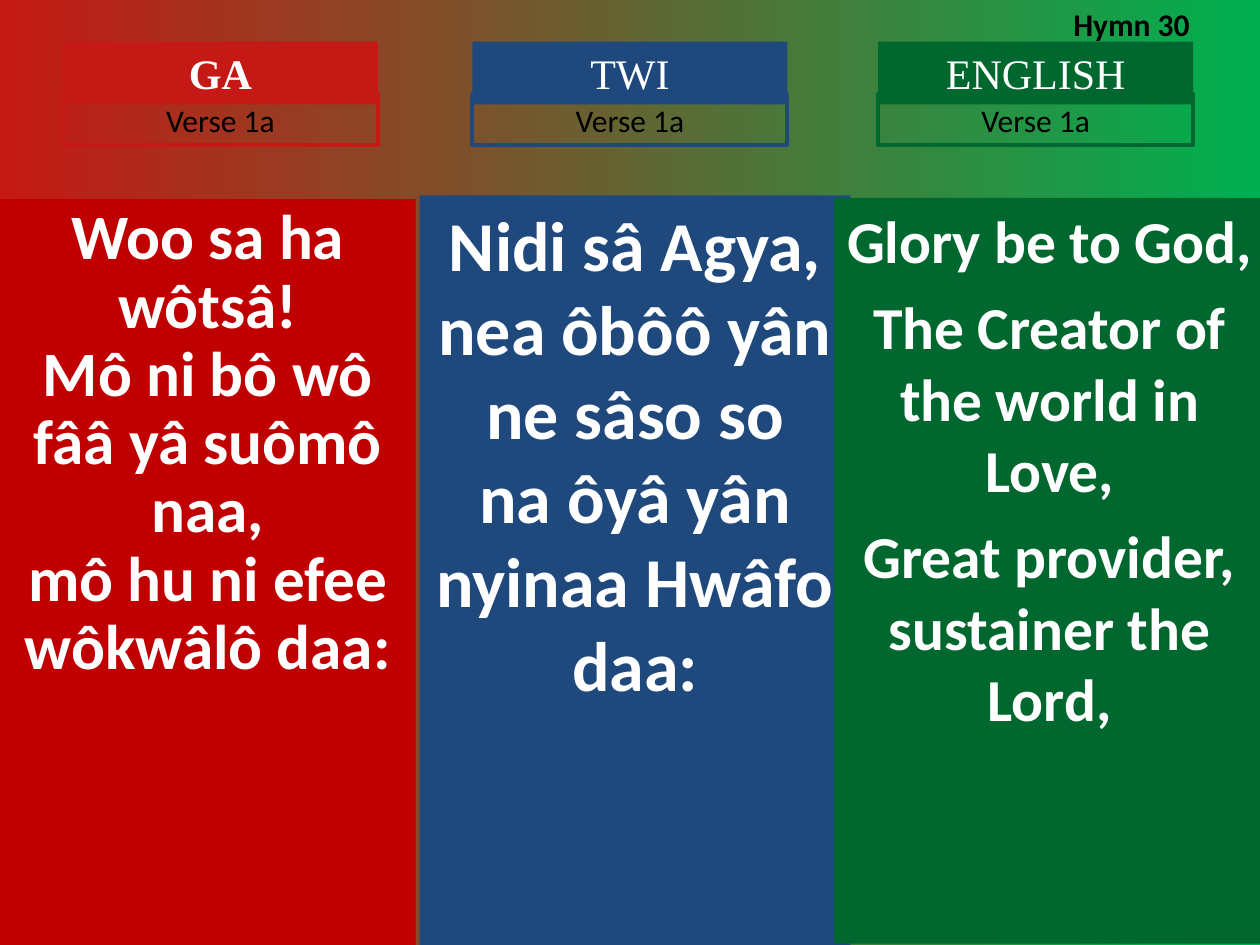
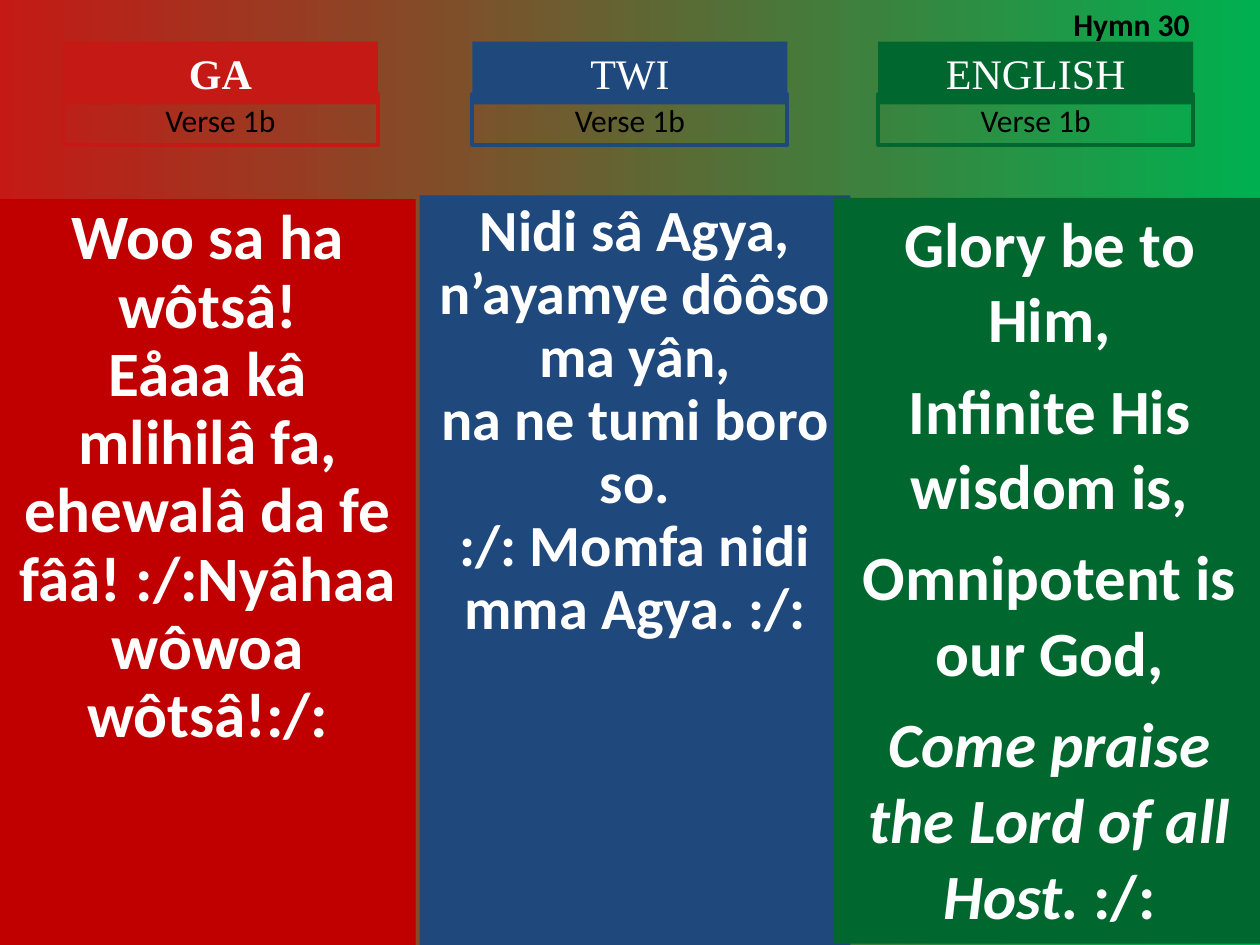
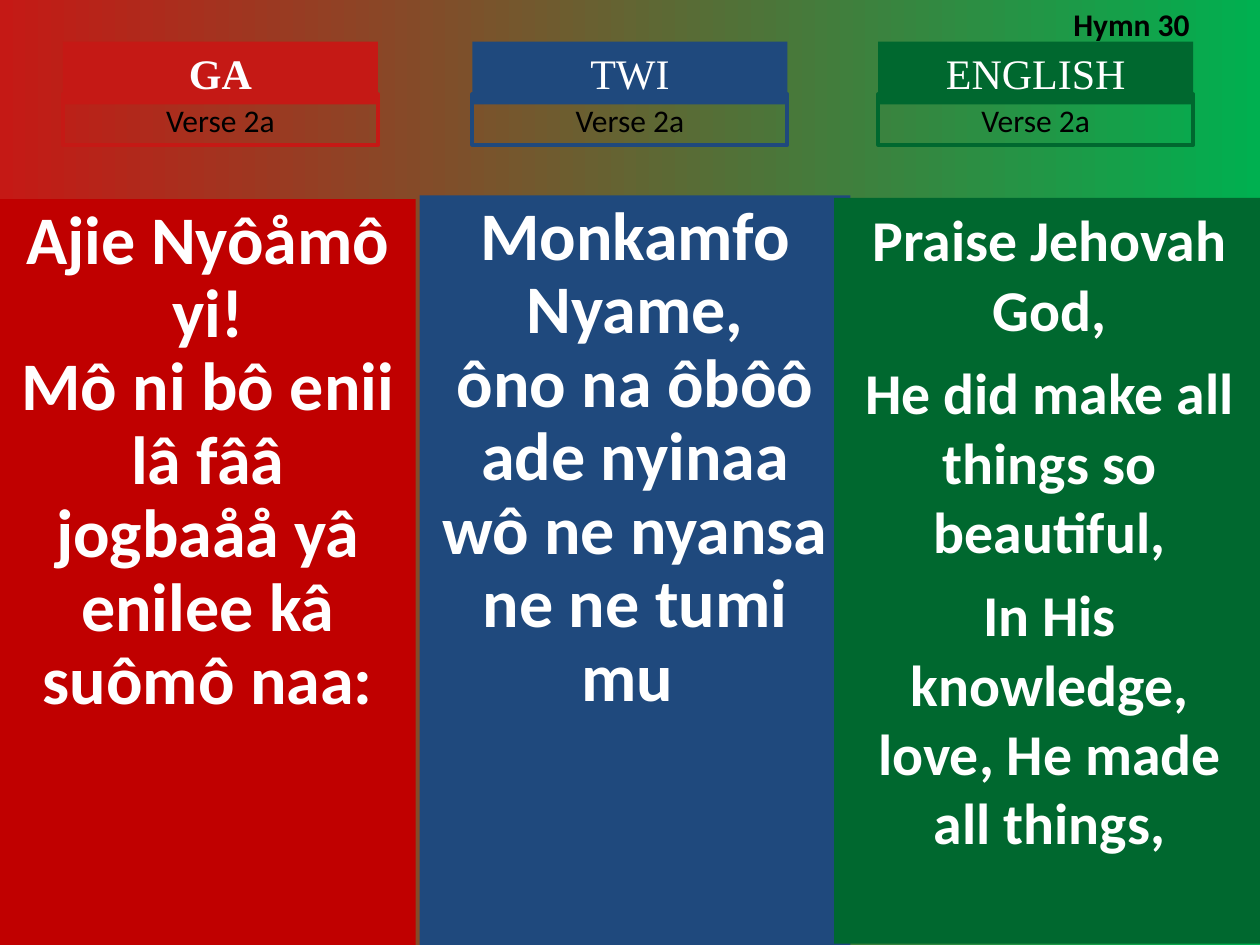
from pptx import Presentation
from pptx.dml.color import RGBColor
from pptx.enum.shapes import MSO_SHAPE
from pptx.enum.text import MSO_ANCHOR, PP_ALIGN
from pptx.util import Inches, Pt

RED = RGBColor(0xC5, 0x19, 0x15)
DARK_RED = RGBColor(0xC0, 0x00, 0x00)
BLUE = RGBColor(0x1F, 0x49, 0x7D)
GREEN = RGBColor(0x00, 0x68, 0x2F)
BRIGHT_GREEN = RGBColor(0x00, 0xB0, 0x50)
WHITE = RGBColor(0xFF, 0xFF, 0xFF)
BLACK = RGBColor(0x00, 0x00, 0x00)

BODY_FONT = "Calibri"
HEAD_FONT = "Times New Roman"
HYMN = "Hymn 30"

HEAD_W, HEAD_TOP, HEAD_H = 2.5, 0.33, 0.5
VERSE_TOP, VERSE_H = 0.75, 0.4

# language, bold heading, heading left, heading colour, panel colour, panel box
COLUMNS = [
    ("GA", True, 0.5, RED, DARK_RED, (0, 1.58, 3.3, 5.92)),
    ("TWI", False, 3.75, BLUE, BLUE, (3.33, 1.55, 3.42, 5.95)),
    ("ENGLISH", False, 6.97, GREEN, GREEN, (6.62, 1.57, 3.42, 5.92)),
]

# Per column: text size, line spacing, space before, paragraphs.
# A paragraph is a string, or a list of (text, italic) runs.
VERSES = [
    ("Verse 1a", [
        (36.1, 0.9, 0, ["Woo sa ha wôtsâ!",
                        "Mô ni bô wô fââ yâ suômô naa,",
                        "mô hu ni efee wôkwâlô daa:"]),
        (40, 1.0, 0, ["Nidi sâ Agya,",
                      "nea ôbôô yân ne sâso so",
                      "na ôyâ yân nyinaa Hwâfo daa:"]),
        (34, 1.0, 8.5, ["Glory be to God,",
                        "The Creator of the world in Love,",
                        "Great provider, sustainer the Lord,"]),
    ]),
    ("Verse 1b", [
        (36.1, 0.9, 0, ["Woo sa ha wôtsâ!",
                        "Eåaa kâ mlihilâ fa, ehewalâ da fe fââ! "
                        ":/:Nyâhaa wôwoa wôtsâ!:/:"]),
        (33.3, 0.9, 0, ["Nidi sâ Agya,",
                        "n’ayamye dôôso ma yân,",
                        "na ne tumi boro so.",
                        ":/: Momfa nidi mma Agya. :/:"]),
        (36, 1.0, 9, ["Glory be to Him,",
                      "Infinite His wisdom is,",
                      "Omnipotent is our God,",
                      [("Come praise the Lord of all Host. ", True),
                       (":/:", False)]]),
    ]),
    ("Verse 2a", [
        (38.9, 0.9, 0, ["Ajie Nyôåmô yi!",
                        "Mô ni bô enii lâ fââ jogbaåå yâ enilee kâ suômô naa:"]),
        (38.9, 0.9, 0, ["Monkamfo Nyame,",
                        "ôno na ôbôô ade nyinaa",
                        "wô ne nyansa ne ne tumi mu "]),
        (33, 1.0, 8.2, ["Praise Jehovah God,",
                        "He did make all things so beautiful,",
                        "In His knowledge, love, He made all things,"]),
    ]),
]


def add_box(slide, box, fill=None, line=None):
    sp = slide.shapes.add_shape(MSO_SHAPE.RECTANGLE, *map(Inches, box))
    sp.shadow.inherit = False
    if fill is None:
        sp.fill.background()
    else:
        sp.fill.solid()
        sp.fill.fore_color.rgb = fill
    if line is None:
        sp.line.fill.background()
    else:
        sp.line.color.rgb = line
        sp.line.width = Pt(2.25)
    return sp


def write(sp, paragraphs, size, color, font=BODY_FONT, bold=False,
          align=PP_ALIGN.CENTER, spacing=1.0, before=0):
    tf = sp.text_frame
    tf.word_wrap = True
    tf.vertical_anchor = MSO_ANCHOR.TOP
    for i, runs in enumerate(paragraphs):
        p = tf.add_paragraph() if i else tf.paragraphs[0]
        p.alignment = align
        p.line_spacing = spacing
        p.space_before = Pt(before if i else 0)
        if isinstance(runs, str):
            runs = [(runs, False)]
        for text, italic in runs:
            r = p.add_run()
            r.text = text
            r.font.name = font
            r.font.size = Pt(size)
            r.font.bold = bold
            r.font.italic = italic
            r.font.color.rgb = color


def set_background(master):
    fill = master.background.fill
    fill.gradient()
    fill.gradient_angle = 0
    for stop, color in zip(fill.gradient_stops, (RED, BRIGHT_GREEN)):
        stop.color.rgb = color


def add_verse_slide(prs, verse, texts):
    slide = prs.slides.add_slide(prs.slide_layouts[6])
    for column, (size, spacing, before, paragraphs) in zip(COLUMNS, texts):
        language, bold, left, color, panel_color, panel_box = column
        panel = add_box(slide, panel_box, fill=panel_color)
        write(panel, paragraphs, size, WHITE, bold=True,
              spacing=spacing, before=before)
        heading = add_box(slide, (left, HEAD_TOP, HEAD_W, HEAD_H), fill=color)
        write(heading, [language], 24, WHITE, HEAD_FONT, bold)
        label = add_box(slide, (left, VERSE_TOP, HEAD_W, VERSE_H), line=color)
        write(label, [verse], 18, BLACK)
    hymn = slide.shapes.add_textbox(*map(Inches, (8.42, -0.01, 1.5, 0.4)))
    write(hymn, [HYMN], 18, BLACK, bold=True, align=PP_ALIGN.LEFT)


def main():
    prs = Presentation()
    prs.slide_width, prs.slide_height = Inches(10), Inches(7.5)
    set_background(prs.slide_master)
    for verse, texts in VERSES:
        add_verse_slide(prs, verse, texts)
    prs.save("out.pptx")


if __name__ == "__main__":
    main()
